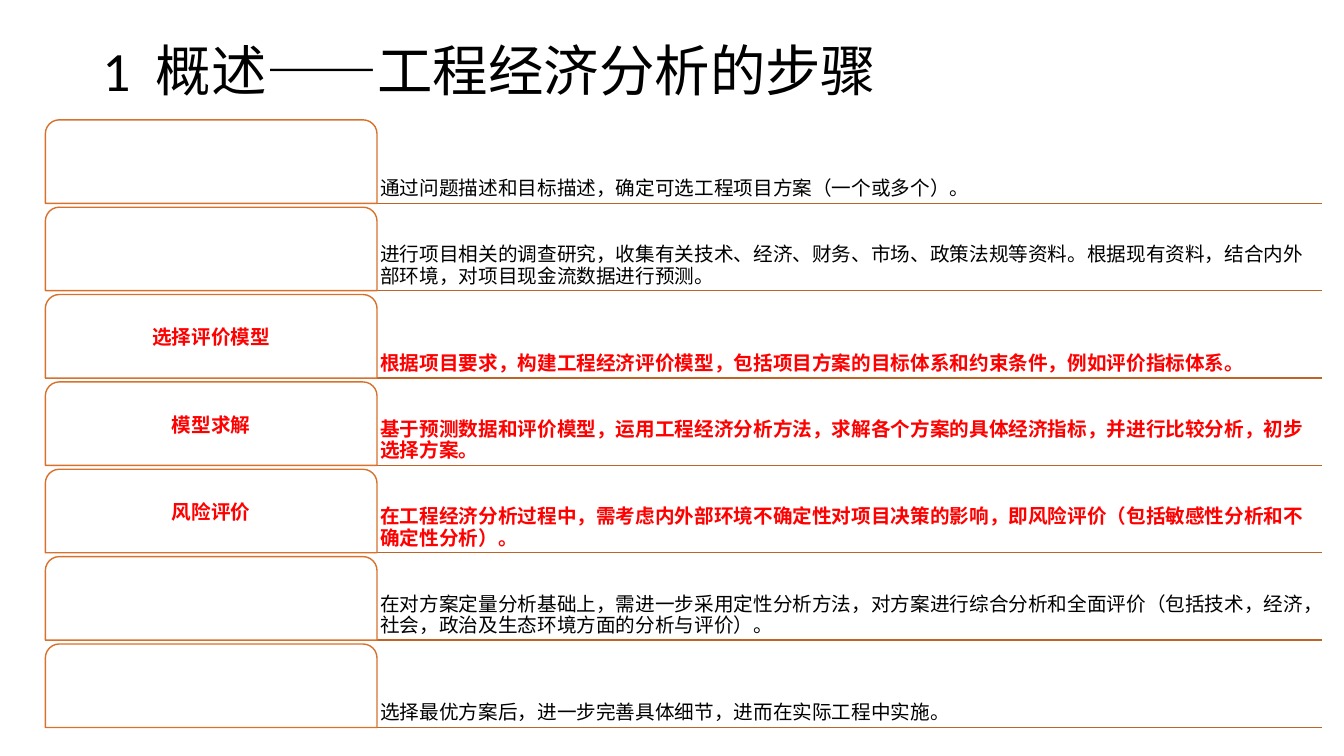
from pptx import Presentation
from pptx.dml.color import RGBColor
from pptx.enum.shapes import MSO_CONNECTOR, MSO_SHAPE
from pptx.enum.text import MSO_ANCHOR, PP_ALIGN
from pptx.oxml.ns import qn
from pptx.util import Pt
from lxml import etree

TITLE = "1  概述——工程经济分析的步骤"
# (tab label, description, highlighted)
STEPS = [
    ("", "通过问题描述和目标描述，确定可选工程项目方案（一个或多个）。", False),
    ("", "进行项目相关的调查研究，收集有关技术、经济、财务、市场、政策法规等资料。"
         "根据现有资料，结合内外部环境，对项目现金流数据进行预测。", False),
    ("选择评价模型", "根据项目要求，构建工程经济评价模型，包括项目方案的目标体系和约束条件，"
                     "例如评价指标体系。", True),
    ("模型求解", "基于预测数据和评价模型，运用工程经济分析方法，求解各个方案的具体经济指标，"
                 "并进行比较分析，初步选择方案。", True),
    ("风险评价", "在工程经济分析过程中，需考虑内外部环境不确定性对项目决策的影响，"
                 "即风险评价（包括敏感性分析和不确定性分析）。", True),
    ("", "在对方案定量分析基础上，需进一步采用定性分析方法，对方案进行综合分析和全面评价"
         "（包括技术，经济，社会，政治及生态环境方面的分析与评价）。", False),
    ("", "选择最优方案后，进一步完善具体细节，进而在实际工程中实施。", False),
]

BLACK = RGBColor(0x00, 0x00, 0x00)
WHITE = RGBColor(0xFF, 0xFF, 0xFF)
RED = RGBColor(0xFF, 0x00, 0x00)
RULE = RGBColor(0xBE, 0x64, 0x27)
TAB_EDGE = RGBColor(0xD7, 0x71, 0x2C)
FONT = "Calibri"
TAB = MSO_SHAPE.ROUND_2_SAME_RECTANGLE
STRAIGHT = MSO_CONNECTOR.STRAIGHT
MIDDLE, BOTTOM = MSO_ANCHOR.MIDDLE, MSO_ANCHOR.BOTTOM
LEFT, CENTER = PP_ALIGN.LEFT, PP_ALIGN.CENTER

TAB_X, TAB_W = 32.4, 236.9
TEXT_X = TAB_X + TAB_W
RIGHT = 944
TOP, ROW_H, PITCH = 85.6, 59.6, 62.4
INSET = 2.4


def write(shape, text, size, color, bold, align, anchor):
    tf = shape.text_frame
    tf.text = text
    tf.word_wrap = True
    tf.vertical_anchor = anchor
    p = tf.paragraphs[0]
    p.alignment = align
    p.line_spacing = 0.9
    font = p.runs[0].font
    font.name, font.size, font.bold = FONT, Pt(size), bold
    font.color.rgb = color


def set_insets(tf):
    tf.margin_left = tf.margin_right = Pt(INSET)
    tf.margin_top = tf.margin_bottom = Pt(INSET)


def add_rule(s, y):
    line = s.shapes.add_connector(STRAIGHT, Pt(TAB_X), Pt(y), Pt(RIGHT), Pt(y))
    line.line.color.rgb = RULE
    line.line.width = Pt(1)
    etree.SubElement(line._element.spPr, qn("a:effectLst"))


def add_step(s, y, label, description, highlighted):
    color = RED if highlighted else BLACK
    box = s.shapes.add_textbox(Pt(TEXT_X), Pt(y), Pt(RIGHT - TEXT_X), Pt(ROW_H))
    set_insets(box.text_frame)
    write(box, description, 14, color, highlighted, LEFT, BOTTOM)

    tab = s.shapes.add_shape(TAB, Pt(TAB_X), Pt(y), Pt(TAB_W), Pt(ROW_H))
    tab.shadow.inherit = False
    tab.fill.solid()
    tab.fill.fore_color.rgb = WHITE
    tab.line.color.rgb = TAB_EDGE
    tab.line.width = Pt(1)
    if label:
        set_insets(tab.text_frame)
        write(tab, label, 14, color, highlighted, CENTER, MIDDLE)


prs = Presentation()
prs.slide_width, prs.slide_height = Pt(960), Pt(540)
s = prs.slides.add_slide(prs.slide_layouts[5])

title = s.shapes.title
title.left, title.top, title.width, title.height = Pt(66), Pt(28.8), Pt(828), Pt(47.5)
write(title, TITLE, 39.6, BLACK, False, LEFT, MIDDLE)

tops = [TOP + i * PITCH for i in range(len(STEPS))]
for y in tops:
    add_rule(s, y + ROW_H)
for y, step in zip(tops, STEPS):
    add_step(s, y, *step)

prs.save("out.pptx")
